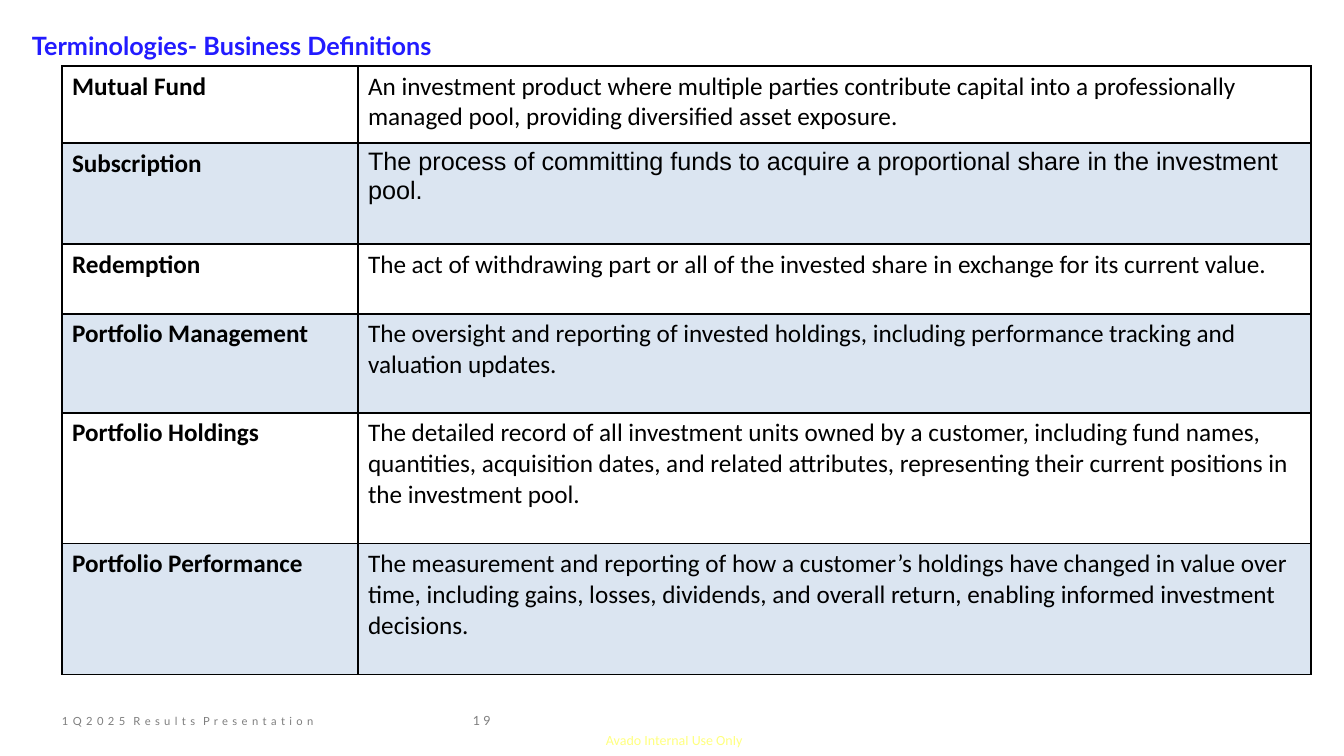
from lxml.etree import SubElement
from pptx import Presentation
from pptx.dml.color import RGBColor
from pptx.enum.text import MSO_ANCHOR as Anchor, PP_ALIGN as Align
from pptx.oxml.ns import qn
from pptx.util import Pt

PX = 9071.43
COLOURS = {"title": "221BFF", "footer": "7E7E7E", "notice": "FFFF00",
           "text": "000000", "border": "000000", "band": "4F81BD"}
DEFINITIONS = [
    ("Mutual Fund", "An investment product where multiple parties contribute capital into a "
     "professionally managed pool, providing diversified asset exposure.", 77),
    ("Subscription", "The process of committing funds to acquire a proportional share in the "
     "investment pool.", 101),
    ("Redemption", "The act of withdrawing part or all of the invested share in exchange for "
     "its current value.", 70),
    ("Portfolio Management", "The oversight and reporting of invested holdings, including "
     "performance tracking and valuation updates.", 99),
    ("Portfolio Holdings", "The detailed record of all investment units owned by a customer, "
     "including fund names, quantities, acquisition dates, and related attributes, "
     "representing their current positions in the investment pool.", 131),
    ("Portfolio Performance", "The measurement and reporting of how a customer’s holdings have "
     "changed in value over time, including gains, losses, dividends, and overall return, "
     "enabling informed investment decisions.", 131),
]


def px(length):
    """Turn pixels into EMU."""
    return round(length * PX)


def set_alpha(element, percent):
    """Make the colours inside an element partly transparent."""
    for colour in element.iter(qn("a:srgbClr")):
        SubElement(colour, qn("a:alpha"), val=str(percent * 1000))


def format_font(font, colour, size, **values):
    """Apply size, colour and further values to a font."""
    for name, value in {"size": Pt(size), **values}.items():
        setattr(font, name, value)
    font.color.rgb = RGBColor.from_string(COLOURS[colour])


def write_text(shape, box, text, colour, size, top_inset=0, **values):
    """Place a shape and fill it with one formatted line."""
    for name, value in zip(("left", "top", "width", "height"), box):
        setattr(shape, name, px(value))
    frame = shape.text_frame
    settings = {"margin_left": 0, "margin_right": 0, "margin_top": px(top_inset),
                "margin_bottom": 0, "word_wrap": True, "vertical_anchor": Anchor.TOP}
    for name, value in settings.items():
        setattr(frame, name, value)
    paragraph = frame.paragraphs[0]
    paragraph.alignment = Align.LEFT
    run = paragraph.add_run()
    run.text = text
    format_font(run.font, colour, size, **values)
    return run


def add_label(slide, box, *text_format, **values):
    """Add a text box holding one line."""
    shape = slide.shapes.add_textbox(0, 0, 0, 0)
    return write_text(shape, box, *text_format, **values)


def add_borders(cell):
    """Draw a thin line on every side of a cell."""
    properties = cell._tc.get_or_add_tcPr()
    for position, side in enumerate(("a:lnL", "a:lnR", "a:lnT", "a:lnB")):
        line = properties.makeelement(qn(side), {"w": str(Pt(1))})
        fill = SubElement(line, qn("a:solidFill"))
        SubElement(fill, qn("a:srgbClr"), val=COLOURS["border"])
        properties.insert(position, line)


def fill_cell(cell, text, banded, **values):
    """Write a table cell with its fill and borders."""
    paragraph = cell.text_frame.paragraphs[0]
    run = paragraph.add_run()
    run.text = text
    format_font(run.font, "text", 18, **values)
    if banded:
        cell.fill.solid()
        cell.fill.fore_color.rgb = RGBColor.from_string(COLOURS["band"])
        set_alpha(cell._tc.get_or_add_tcPr(), 20)
    else:
        cell.fill.background()
    add_borders(cell)


def add_definitions(slide, left, top, widths):
    """Add the table of terms and their definitions."""
    height = sum(row[2] for row in DEFINITIONS)
    table = slide.shapes.add_table(len(DEFINITIONS), len(widths), px(left), px(top),
                                   px(sum(widths)), px(height)).table
    table.first_row = table.horz_banding = False
    for column, width in zip(table.columns, widths):
        column.width = px(width)
    for index, (term, meaning, row_height) in enumerate(DEFINITIONS):
        table.rows[index].height = px(row_height)
        banded = index % 2 == 1
        font = "Arial" if term == "Subscription" else "Calibri"
        fill_cell(table.cell(index, 0), term, banded, name="Calibri", bold=True)
        fill_cell(table.cell(index, 1), meaning, banded, name=font, bold=False)


def main():
    """Build the slide and save it."""
    presentation = Presentation()
    presentation.slide_width, presentation.slide_height = px(1344), px(756)
    slide = presentation.slides.add_slide(presentation.slide_layouts[5])
    notice = add_label(slide, (606, 732, 180, 17), "Avado Internal Use Only", "notice", 10,
                       name="Calibri")
    set_alpha(notice._r, 50)
    write_text(slide.shapes.title, (32, 29, 1105, 33), "Terminologies- Business Definitions",
               "title", 18, 1, name="Lato", bold=True)
    footer = add_label(slide, (62, 712, 280, 18),
                       "1 Q 2 0 2 5  R e s u l t s  P r e s e n t a t i o n",
                       "footer", 8, 2, name="Lato")
    footer.font._element.set("spc", "55")
    add_label(slide, (473, 711, 25, 19), "1 9", "footer", 9, 2, name="Lato")
    add_definitions(slide, 62, 66, (296, 953))
    presentation.save("out.pptx")


if __name__ == "__main__":
    main()
